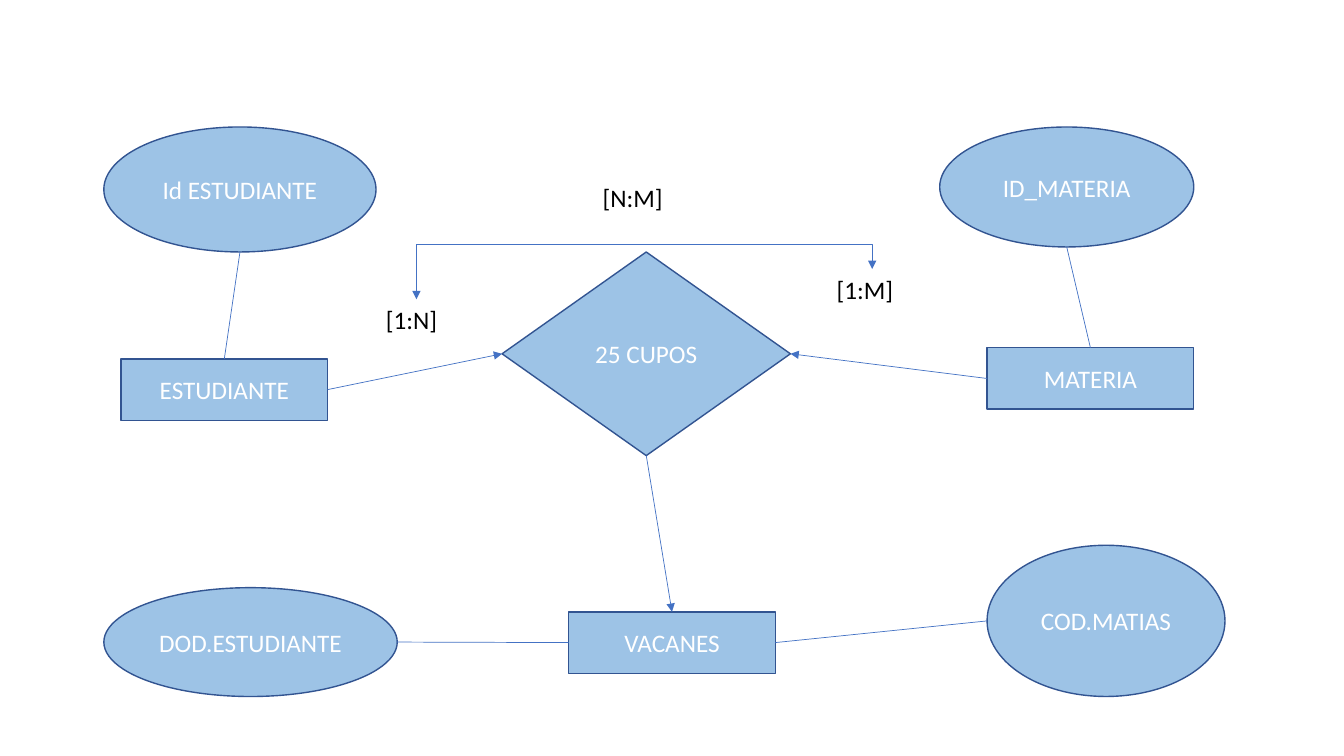
from lxml.etree import SubElement
from pptx import Presentation
from pptx.dml.color import RGBColor
from pptx.enum.shapes import MSO_CONNECTOR as Route, MSO_SHAPE as Shape
from pptx.enum.text import MSO_ANCHOR, MSO_AUTO_SIZE, PP_ALIGN
from pptx.oxml.ns import qn
from pptx.util import Inches, Pt

COLORS = {"fill": "9DC3E6", "outline": "325491", "link": "4472C4",
          "node_text": "FFFFFF", "label": "000000"}
CELL = Inches(1)
ENTITY_SIZE = (2.05, 0.61)
LABEL_HEIGHT = 0.4
TOP, LEFT, BOTTOM, RIGHT = range(4)


def cells(*counts):
    """Convert grid cells to slide lengths."""
    return [round(count * CELL) for count in counts]


def color(name):
    """Look up a palette colour."""
    return RGBColor.from_string(COLORS[name])


def write(frame, words, ink):
    """Put one line of text in a frame and return its paragraph."""
    paragraph = frame.paragraphs[0]
    paragraph.text = words
    paragraph.font.name = "Calibri"
    paragraph.font.size = Pt(18)
    paragraph.font.color.rgb = color(ink)
    return paragraph


def add_node(slide, kind, words, left, top, width, height):
    """Add an entity, attribute or relationship."""
    node = slide.shapes.add_shape(kind, *cells(left, top, width, height))
    node.shadow.inherit = False
    node.fill.solid()
    node.fill.fore_color.rgb = color("fill")
    node.line.color.rgb = color("outline")
    node.line.width = Pt(1)
    node.text_frame.vertical_anchor = MSO_ANCHOR.MIDDLE
    write(node.text_frame, words, "node_text").alignment = PP_ALIGN.CENTER
    return node


def side_point(node, side):
    """Return the middle of one side of a node."""
    across = {LEFT: 0, RIGHT: node.width}.get(side, node.width // 2)
    down = {TOP: 0, BOTTOM: node.height}.get(side, node.height // 2)
    return node.left + across, node.top + down


def style_link(link, ends=()):
    """Colour a connector and give the listed ends an arrowhead."""
    link.line.color.rgb = color("link")
    link.line.width = Pt(0.5)
    outline = link.line._get_or_add_ln()
    for end in ends:
        SubElement(outline, qn(f"a:{end}End"), type="triangle")
    SubElement(link._element.spPr, qn("a:effectLst"))


def add_link(slide, start, start_side, finish, finish_side, ends=()):
    """Link two nodes, joining the ends that sit on four-sided shapes."""
    link = slide.shapes.add_connector(
        Route.STRAIGHT, *side_point(start, start_side), *side_point(finish, finish_side))
    if start.auto_shape_type != Shape.OVAL:
        link.begin_connect(start, start_side)
    if finish.auto_shape_type != Shape.OVAL:
        link.end_connect(finish, finish_side)
    style_link(link, ends)


def add_label(slide, words, left, top, width):
    """Add a cardinality label."""
    label = slide.shapes.add_textbox(*cells(left, top, width, LABEL_HEIGHT))
    label.text_frame.word_wrap = True
    label.text_frame.auto_size = MSO_AUTO_SIZE.SHAPE_TO_FIT_TEXT
    write(label.text_frame, words, "label")


def identified_entity(slide, left, top, key, key_size, entity, indent, drop):
    """Draw an entity below its key attribute."""
    attribute = add_node(slide, Shape.OVAL, key, left, top, *key_size)
    body = add_node(slide, Shape.RECTANGLE, entity, left + indent, top + drop, *ENTITY_SIZE)
    add_link(slide, attribute, BOTTOM, body, TOP)
    return body


def vacancies(slide, left, top):
    """Draw the vacancy entity between its two attributes."""
    student_code = add_node(slide, Shape.OVAL, "DOD.ESTUDIANTE", left, top + 0.42, 2.91, 1.08)
    vacancy = add_node(slide, Shape.RECTANGLE, "VACANES", left + 4.61, top + 0.66, *ENTITY_SIZE)
    subject_code = add_node(slide, Shape.OVAL, "COD.MATIAS", left + 8.76, top, 2.36, 1.5)
    add_link(slide, vacancy, LEFT, student_code, RIGHT)
    add_link(slide, vacancy, RIGHT, subject_code, LEFT)
    return vacancy


def cardinalities(slide, left, top):
    """Draw the cardinality labels and the bracket that joins them."""
    add_label(slide, "[1:N]", left, top + 1.21, 0.82)
    add_label(slide, "[1:M]", left + 4.47, top + 0.91, 0.91)
    add_label(slide, "[N:M]", left + 2.15, top, 1.03)
    span, rise, peak = 4.52, 0.3, 0.55
    middle_x, middle_y = left + 2.66, top + 1.06
    bracket = slide.shapes.add_connector(
        Route.ELBOW, *cells(middle_x + rise / 2, middle_y + span / 2,
                            middle_x - rise / 2, middle_y - span / 2))
    properties = bracket._element.spPr
    properties.find(qn("a:xfrm")).set("rot", str(90 * 60000))
    geometry = properties.find(qn("a:prstGeom"))
    guides = geometry.find(qn("a:avLst"))
    if guides is None:
        guides = SubElement(geometry, qn("a:avLst"))
    SubElement(guides, qn("a:gd"), name="adj1", fmla=f"val {round(peak / rise * 100000)}")
    style_link(bracket, ("head", "tail"))


def enrolment_diagram(slide, left, top):
    """Draw the whole diagram around the enrolment relationship."""
    student = identified_entity(
        slide, left, top, "Id ESTUDIANTE", (2.7, 1.24), "ESTUDIANTE", 0.17, 2.3)
    subject = identified_entity(
        slide, left + 8.29, top, "ID_MATERIA", (2.52, 1.19), "MATERIA", 0.47, 2.19)
    places = add_node(slide, Shape.DIAMOND, "25 CUPOS", left + 3.95, top + 1.24, 2.86, 2.02)
    vacancy = vacancies(slide, left, top + 4.15)
    add_link(slide, student, RIGHT, places, LEFT, ("tail",))
    add_link(slide, subject, LEFT, places, RIGHT, ("tail",))
    add_link(slide, places, BOTTOM, vacancy, TOP, ("tail",))
    cardinalities(slide, left + 2.7, top + 0.5)


def main():
    """Build and save the slide."""
    deck = Presentation()
    deck.slide_width, deck.slide_height = cells(13.33, 7.5)
    slide = deck.slides.add_slide(deck.slide_layouts[6])
    enrolment_diagram(slide, 1.03, 1.26)
    deck.save("out.pptx")


if __name__ == "__main__":
    main()
